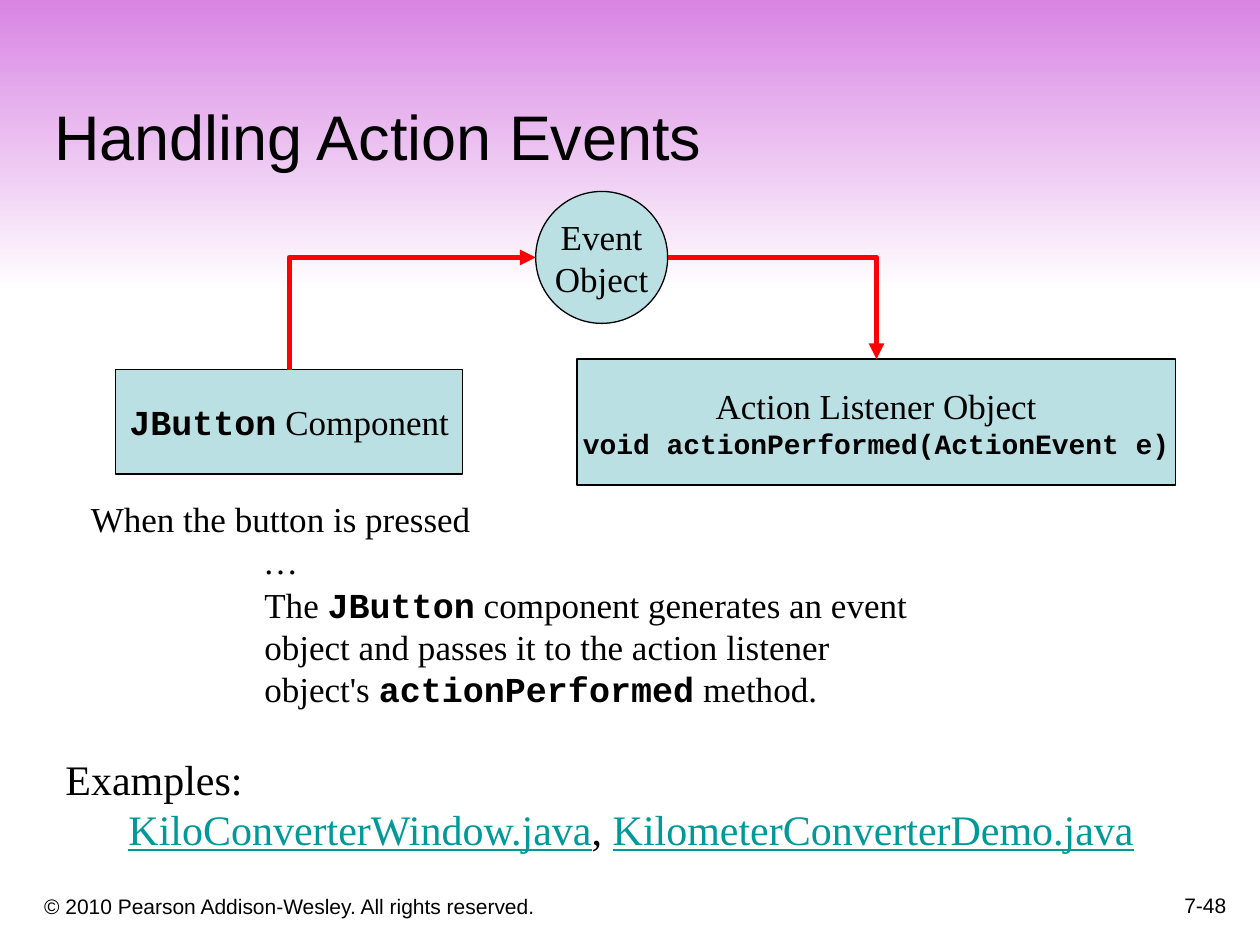
from dataclasses import dataclass

from lxml import etree
from pptx import Presentation
from pptx.dml.color import RGBColor
from pptx.enum.shapes import MSO_CONNECTOR, MSO_SHAPE as SHAPE
from pptx.enum.text import MSO_ANCHOR as ANCHOR, PP_ALIGN as ALIGN
from pptx.oxml.ns import qn
from pptx.util import Cm, Pt


@dataclass(frozen=True)
class Theme:
    band: str = "D885E3"
    white: str = "FFFFFF"
    ink: str = "000000"
    box: str = "BBE0E3"
    arrow: str = "FF0000"
    link: str = "009999"
    sans: str = "Arial"
    serif: str = "Times New Roman"
    mono: str = "Courier New"
    title: int = 36
    large: int = 24
    body: int = 20
    code: int = 16
    small: int = 12


T = Theme()
SANS_TITLE = {"name": T.sans, "size": T.title}
SANS_SMALL = {"name": T.sans, "size": T.small}
BODY = {"name": T.serif, "size": T.body}
LARGE = {"name": T.serif, "size": T.large}
MONO = {"name": T.mono, "size": T.body, "bold": True}
CODE = {**MONO, "size": T.code}
LINK = {**LARGE, "color": T.link, "underline": True}


class SlideBuilder:
    """Holds the theme and the current slide."""

    def __init__(self, slide, theme):
        self.s = slide
        self.t = theme

    def _write(self, sp, paragraphs, align, anchor, wrap):
        """Fill a shape with paragraphs, each a list of (text, format) runs."""
        tf = sp.text_frame
        tf.word_wrap = wrap
        tf.vertical_anchor = anchor
        for i, runs in enumerate(paragraphs):
            p = tf.add_paragraph() if i else tf.paragraphs[0]
            p.alignment = align
            for text, fmt in runs:
                r = p.add_run()
                r.text = text
                values = dict(fmt)
                r.font.color.rgb = RGBColor.from_string(values.pop("color", self.t.ink))
                values["size"] = Pt(values["size"])
                for key, value in values.items():
                    setattr(r.font, key, value)

    def band(self, x, y, w, h):
        sp = self.s.shapes.add_shape(SHAPE.RECTANGLE, Cm(x), Cm(y), Cm(w), Cm(h))
        sp.shadow.inherit = False
        sp.line.fill.background()
        sp.fill.gradient()
        sp.fill.gradient_angle = 270
        for stop, color in zip(sp.fill.gradient_stops, (self.t.band, self.t.white)):
            stop.color.rgb = RGBColor.from_string(color)

    def text(self, x, y, w, h, paragraphs, align=ALIGN.LEFT, anchor=ANCHOR.TOP):
        sp = self.s.shapes.add_textbox(Cm(x), Cm(y), Cm(w), Cm(h))
        self._write(sp, paragraphs, align, anchor, True)
        return sp

    def node(self, kind, x, y, w, h, paragraphs):
        sp = self.s.shapes.add_shape(kind, Cm(x), Cm(y), Cm(w), Cm(h))
        sp.shadow.inherit = False
        sp.fill.solid()
        sp.fill.fore_color.rgb = RGBColor.from_string(self.t.box)
        sp.line.color.rgb = RGBColor.from_string(self.t.ink)
        sp.line.width = Pt(0.75)
        self._write(sp, paragraphs, ALIGN.CENTER, ANCHOR.MIDDLE, False)

    def elbow(self, x1, y1, x2, y2):
        """One-bend arrow: across then down, or up then across."""
        rising = y2 < y1
        w, h = abs(x2 - x1), abs(y2 - y1)
        if rising:  # the frame is described before its quarter turn
            w, h = h, w
        x, y = (x1 + x2 - w) / 2, (y1 + y2 - h) / 2
        c = self.s.shapes.add_connector(
            MSO_CONNECTOR.ELBOW, Cm(x), Cm(y), Cm(x + w), Cm(y + h))
        c.line.color.rgb = RGBColor.from_string(self.t.arrow)
        c.line.width = Pt(3)
        spPr = c._element.spPr
        spPr.find(qn("a:prstGeom")).set("prst", "bentConnector2")
        if rising:
            spPr.find(qn("a:xfrm")).set("rot", str(270 * 60000))
        etree.SubElement(spPr.find(qn("a:ln")), qn("a:tailEnd"), type="triangle")
        etree.SubElement(spPr, qn("a:effectLst"))


def main():
    prs = Presentation()
    prs.slide_width, prs.slide_height = Cm(25.4), Cm(19.05)
    b = SlideBuilder(prs.slides.add_slide(prs.slide_layouts[6]), T)

    # Background band, footer and title
    b.band(0, 0, 25.4, 5.9)
    b.text(0.64, 17.58, 15.44, 1.07,
           [[("© 2010 Pearson Addison-Wesley. All rights reserved.", SANS_SMALL)]],
           anchor=ANCHOR.BOTTOM)
    b.text(19.69, 17.35, 5.28, 1.27, [[("7-48", SANS_SMALL)]],
           ALIGN.RIGHT, ANCHOR.BOTTOM)
    b.text(0.84, 0.84, 23.93, 2.77, [[("Handling Action Events", SANS_TITLE)]],
           anchor=ANCHOR.BOTTOM)

    # Diagram: component, event and listener
    b.node(SHAPE.RECTANGLE, 2.33, 7.45, 7, 2.11,
           [[("JButton", MONO), (" Component", BODY)]])
    b.node(SHAPE.RECTANGLE, 11.63, 7.24, 12.07, 2.54,
           [[("Action Listener Object", BODY)],
            [("void actionPerformed(ActionEvent e)", CODE)]])
    b.node(SHAPE.OVAL, 10.8, 3.86, 2.66, 2.66,
           [[("Event", BODY)], [("Object", BODY)]])
    b.elbow(5.83, 7.45, 10.8, 5.19)
    b.elbow(13.46, 5.19, 17.67, 7.24)

    # Explanation
    b.text(1.16, 9.91, 9, 1.8,
           [[("When the button is pressed", BODY)], [("…", BODY)]], ALIGN.CENTER)
    b.text(5.08, 11.63, 13.54, 2.79, [[
        ("The ", BODY), ("JButton", MONO),
        (" component generates an event object and passes it to the action "
         "listener object's ", BODY),
        ("actionPerformed", MONO), (" method.", BODY)]])

    # Examples, with the file names indented
    sp = b.text(1.07, 15.06, 22.86, 2.31, [
        [("Examples:", LARGE)],
        [("KiloConverterWindow.java", LINK), (", ", LARGE),
         ("KilometerConverterDemo.java", LINK)]])
    files = sp.text_frame.paragraphs[1]
    files._p.get_or_add_pPr().set("marL", str(Cm(1.27)))

    prs.save("out.pptx")


if __name__ == "__main__":
    main()
